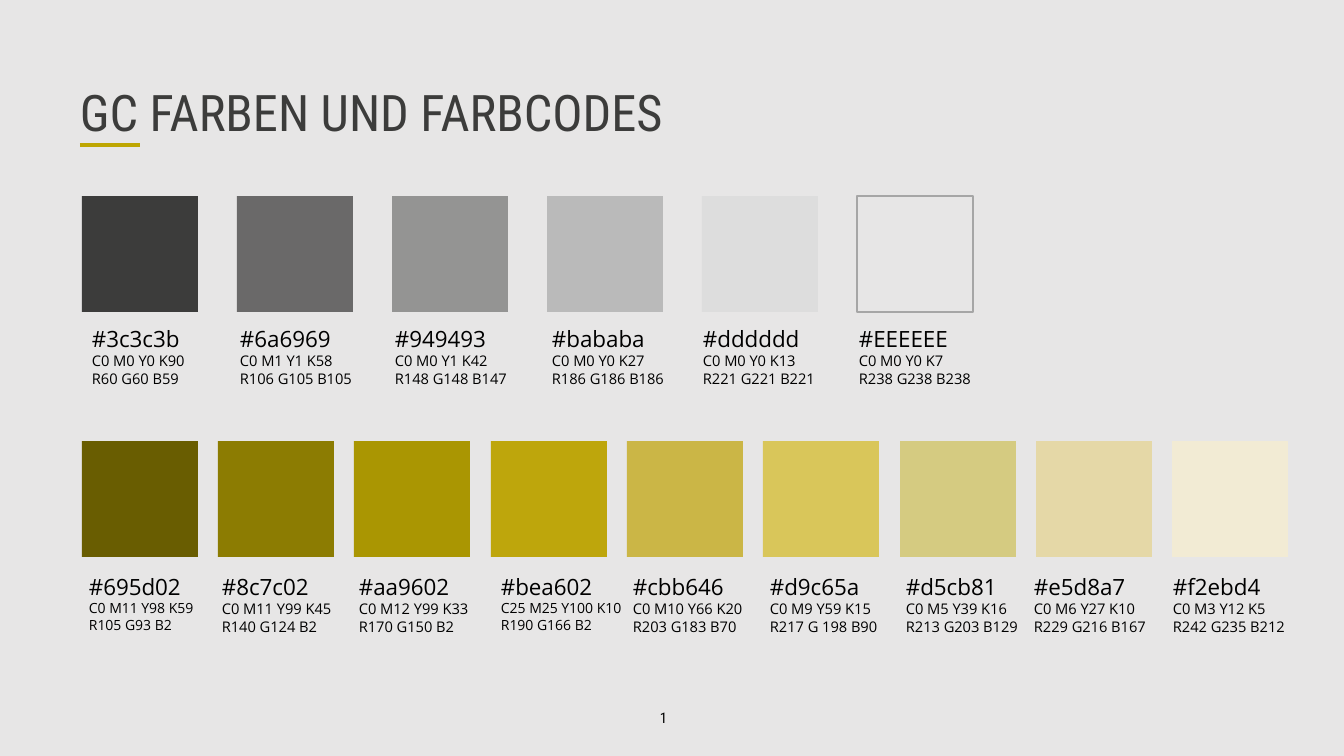
from lxml import etree
from pptx import Presentation
from pptx.dml.color import RGBColor
from pptx.enum.shapes import MSO_CONNECTOR, MSO_SHAPE
from pptx.enum.text import MSO_ANCHOR, MSO_AUTO_SIZE
from pptx.oxml.ns import qn
from pptx.util import Emu, Pt

RECT = MSO_SHAPE.RECTANGLE
STRAIGHT = MSO_CONNECTOR.STRAIGHT
TOP, MIDDLE = MSO_ANCHOR.TOP, MSO_ANCHOR.MIDDLE
FIT_SHAPE = MSO_AUTO_SIZE.SHAPE_TO_FIT_TEXT

EMU_PER_PX = 914400 / 100.8
WIDTH, HEIGHT = 1344, 756
SWATCH = 116
SWATCH_LEFT, SWATCH_RIGHT = 82, 1172
GREY_STEP = 155
GREY_TOP, GOLD_TOP = 196, 441
GREY_LABEL_TOP, GOLD_LABEL_TOP = 320, 568
LABEL_HEIGHT = 73

GREYS = [
    ("3C3C3B", 82, 119, 10.5, "#3c3c3b", "C0 M0 Y0 K90", "R60 G60 B59"),
    ("6A6969", 230, 134, 10.5, "#6a6969", "C0 M1 Y1 K58", "R106 G105 B105"),
    ("949493", 385, 134, 10.5, "#949493", "C0 M0 Y1 K42", "R148 G148 B147"),
    ("BABABA", 542, 134, 10.5, "#bababa", "C0 M0 Y0 K27", "R186 G186 B186"),
    ("DDDDDD", 693, 134, 10.5, "#dddddd", "C0 M0 Y0 K13", "R221 G221 B221"),
    (None, 849, 134, 10.5, "#EEEEEE", "C0 M0 Y0 K7", "R238 G238 B238"),
]
GOLDS = [
    ("695D01", 79, 130, 10, "#695d02", "C0 M11 Y98 K59", "R105 G93 B2"),
    ("8C7C02", 212, 132, 10.5, "#8c7c02", "C0 M11 Y99 K45", "R140 G124 B2"),
    ("AA9602", 349, 132, 10.5, "#aa9602", "C0 M12 Y99 K33", "R170 G150 B2"),
    ("BEA60C", 491, 143, 10, "#bea602", "C25 M25 Y100 K10", "R190 G166 B2"),
    ("CBB646", 623, 132, 10.5, "#cbb646", "C0 M10 Y66 K20", "R203 G183 B70"),
    ("D9C65A", 760, 129, 10.5, "#d9c65a", "C0 M9 Y59 K15", "R217 G 198 B90"),
    ("D5CB81", 896, 134, 10.5, "#d5cb81", "C0 M5 Y39 K16", "R213 G203 B129"),
    ("E5D8A7", 1024, 139, 10.5, "#e5d8a7", "C0 M6 Y27 K10", "R229 G216 B167"),
    ("F2EBD4", 1163, 134, 10.5, "#f2ebd4", "C0 M3 Y12 K5", "R242 G235 B212"),
]


def px(n):
    return Emu(round(n * EMU_PER_PX))


def rgb(value):
    return RGBColor.from_string(value)


class Deck:
    heading_font = "Roboto Condensed"
    body_font = "Open Sans"
    background = "E7E6E6"
    accent = "BEA602"
    outline = "A6A6A6"
    title_color = "3C3C3B"
    text_color = "000000"

    def __init__(self):
        self.prs = Presentation()
        self.prs.slide_width, self.prs.slide_height = px(WIDTH), px(HEIGHT)
        self.s = self.prs.slides.add_slide(self.prs.slide_layouts[6])
        fill = self.s.background.fill
        fill.solid()
        fill.fore_color.rgb = rgb(self.background)

    def text(self, x, y, w, h, lines, sizes, font, color, anchor=TOP):
        sp = self.s.shapes.add_textbox(px(x), px(y), px(w), px(h))
        tf = sp.text_frame
        tf.word_wrap = False
        tf.auto_size = FIT_SHAPE
        tf.vertical_anchor = anchor
        tf.text = "\n".join(lines)
        for p, size in zip(tf.paragraphs, sizes):
            for r in p.runs:
                r.font.name = font
                r.font.size = Pt(size)
                r.font.color.rgb = rgb(color)
        return sp

    def title(self, x, y, w, h, text):
        sp = self.text(x, y, w, h, [text], [36], self.heading_font,
                       self.title_color, MIDDLE)
        tf = sp.text_frame
        tf.word_wrap = True
        tf.auto_size = MSO_AUTO_SIZE.NONE
        tf.paragraphs[0].line_spacing = 0.9

    def rule(self, x1, x2, y):
        sp = self.s.shapes.add_connector(STRAIGHT, px(x1), px(y), px(x2), px(y))
        sp.line.color.rgb = rgb(self.accent)
        sp.line.width = Pt(3)
        etree.SubElement(sp.element.spPr, qn("a:effectLst"))

    def swatch(self, x, y, color):
        sp = self.s.shapes.add_shape(RECT, px(x), px(y), px(SWATCH), px(SWATCH))
        sp.shadow.inherit = False
        if color:
            sp.fill.solid()
            sp.fill.fore_color.rgb = rgb(color)
            sp.line.fill.background()
        else:
            sp.fill.background()
            sp.line.color.rgb = rgb(self.outline)
            sp.line.width = Pt(1)

    def palette(self, colors, step, y, label_y):
        for i, (color, x, w, size, *lines) in enumerate(colors):
            self.swatch(SWATCH_LEFT + round(i * step), y, color)
            self.text(x, label_y, w, LABEL_HEIGHT, lines, [16, size, size],
                      self.body_font, self.text_color)


def main():
    deck = Deck()
    deck.text(650, 704, 43, 28, ["1"], [10.5], deck.heading_font, deck.text_color)
    deck.rule(80, 140, 145)
    deck.title(70, 83, 1190, 64, "GC FARBEN UND FARBCODES")
    deck.palette(GREYS, GREY_STEP, GREY_TOP, GREY_LABEL_TOP)
    gold_step = (SWATCH_RIGHT - SWATCH_LEFT) / (len(GOLDS) - 1)
    deck.palette(GOLDS, gold_step, GOLD_TOP, GOLD_LABEL_TOP)
    deck.prs.save("out.pptx")


if __name__ == "__main__":
    main()
